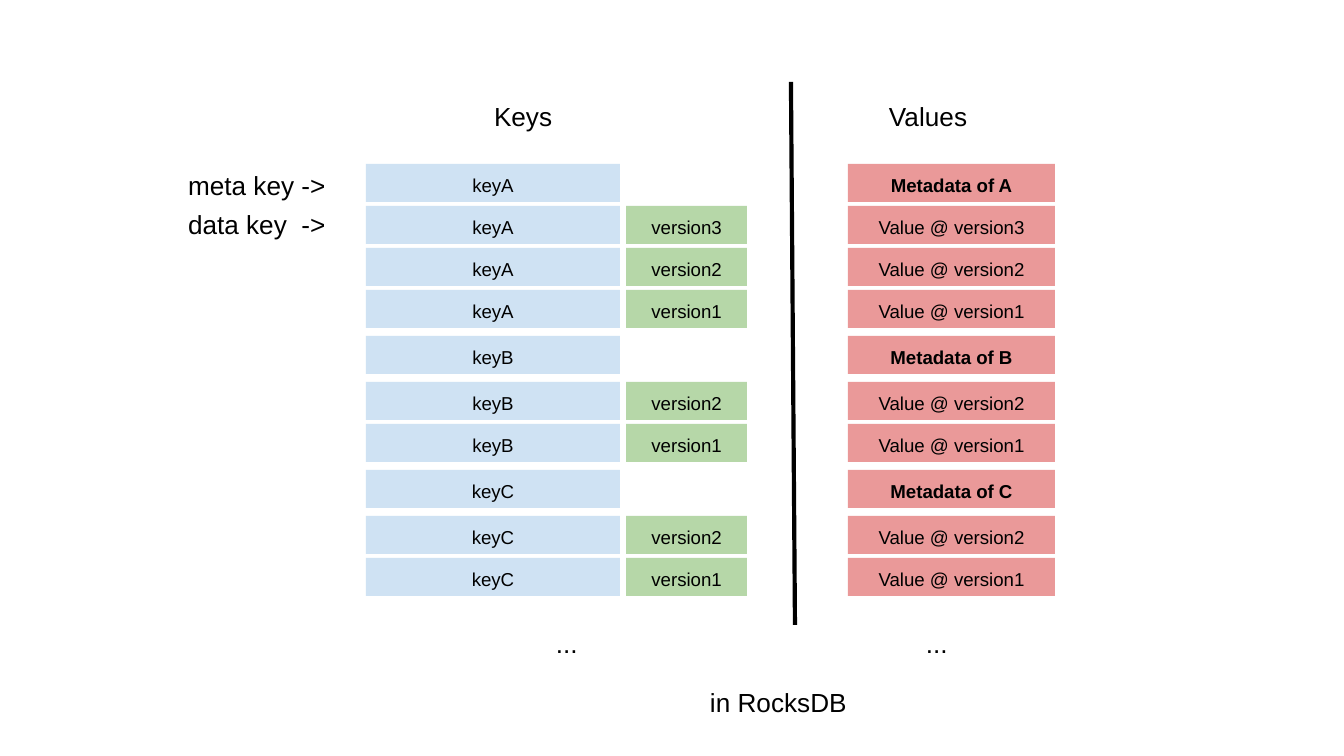
from pptx import Presentation
from pptx.dml.color import RGBColor
from pptx.enum.shapes import MSO_CONNECTOR as Connector, MSO_SHAPE as Shape
from pptx.enum.text import MSO_ANCHOR as Anchor, PP_ALIGN as Align
from pptx.oxml.ns import qn
from pptx.util import Pt
from lxml.etree import SubElement

PX = 914400 / 134.4
COLORS = {"key": "CFE2F3", "version": "B6D7A8", "value": "EA9999", "ink": "000000"}
COLUMNS = {"key": (366, 254), "version": (626, 121), "value": (848, 207)}
ROW_HEIGHT, ROW_STEP, GROUP_STEP = 38, 42, 46
GROUPS = [("A", 3, ROW_STEP), ("B", 2, GROUP_STEP), ("C", 2, GROUP_STEP)]
LABELS = [
    ("Keys", 481, 87, 152, 44),
    ("Values", 876, 87, 152, 44),
    ("meta key ->", 175, 156, 192, 38),
    ("data key  ->", 175, 195, 192, 38),
    ("...", 543, 614, 78, 55),
    ("...", 913, 614, 78, 55),
    ("in RocksDB", 697, 673, 192, 55),
]


def emu(*lengths):
    return [round(length * PX) for length in lengths]


def color(name):
    return RGBColor.from_string(COLORS[name])


def write(box, text, size=14, bold=False, align=Align.LEFT, anchor=Anchor.TOP, spacing=1.0):
    frame = box.text_frame
    frame.word_wrap = True
    frame.vertical_anchor = anchor
    frame.margin_left = frame.margin_right = frame.margin_top = frame.margin_bottom = emu(13)[0]
    para = frame.paragraphs[0]
    para.alignment, para.line_spacing = align, spacing
    span = para.add_run()
    span.text = text
    span.font.name, span.font.size, span.font.bold = "Arial", Pt(size), bold
    span.font.color.rgb = color("ink")


class Painter:
    """Draw styled cells, labels and lines on the current page."""

    def __init__(self, page):
        self.shapes = page.shapes

    def cell(self, column, top, text, bold=False):
        left, width = COLUMNS[column]
        box = self.shapes.add_shape(Shape.RECTANGLE, *emu(left, top, width, ROW_HEIGHT))
        box.shadow.inherit = False
        box.fill.solid()
        box.fill.fore_color.rgb = color(column)
        box.line.fill.background()
        write(box, text, size=10, bold=bold, align=Align.CENTER, anchor=Anchor.MIDDLE, spacing=1.15)

    def label(self, text, *bounds):
        write(self.shapes.add_textbox(*emu(*bounds)), text)

    def line(self, *ends, width=2.25):
        line = self.shapes.add_connector(Connector.STRAIGHT, *emu(*ends))
        line.line.color.rgb = color("ink")
        line.line.width = Pt(width)
        SubElement(line._element.spPr, qn("a:effectLst"))


def main():
    deck = Presentation()
    deck.slide_width, deck.slide_height = emu(1344, 756)
    painter = Painter(deck.slides.add_slide(deck.slide_layouts[6]))

    top = 164
    for name, versions, meta_step in GROUPS:
        painter.cell("key", top, f"key{name}")
        painter.cell("value", top, f"Metadata of {name}", bold=True)
        top += meta_step
        for number in range(versions, 0, -1):
            painter.cell("key", top, f"key{name}")
            painter.cell("version", top, f"version{number}")
            painter.cell("value", top, f"Value @ version{number}")
            top += ROW_STEP if number > 1 else GROUP_STEP

    painter.line(791, 82, 795, 625)
    for label in LABELS:
        painter.label(*label)
    deck.save("out.pptx")


if __name__ == "__main__":
    main()
